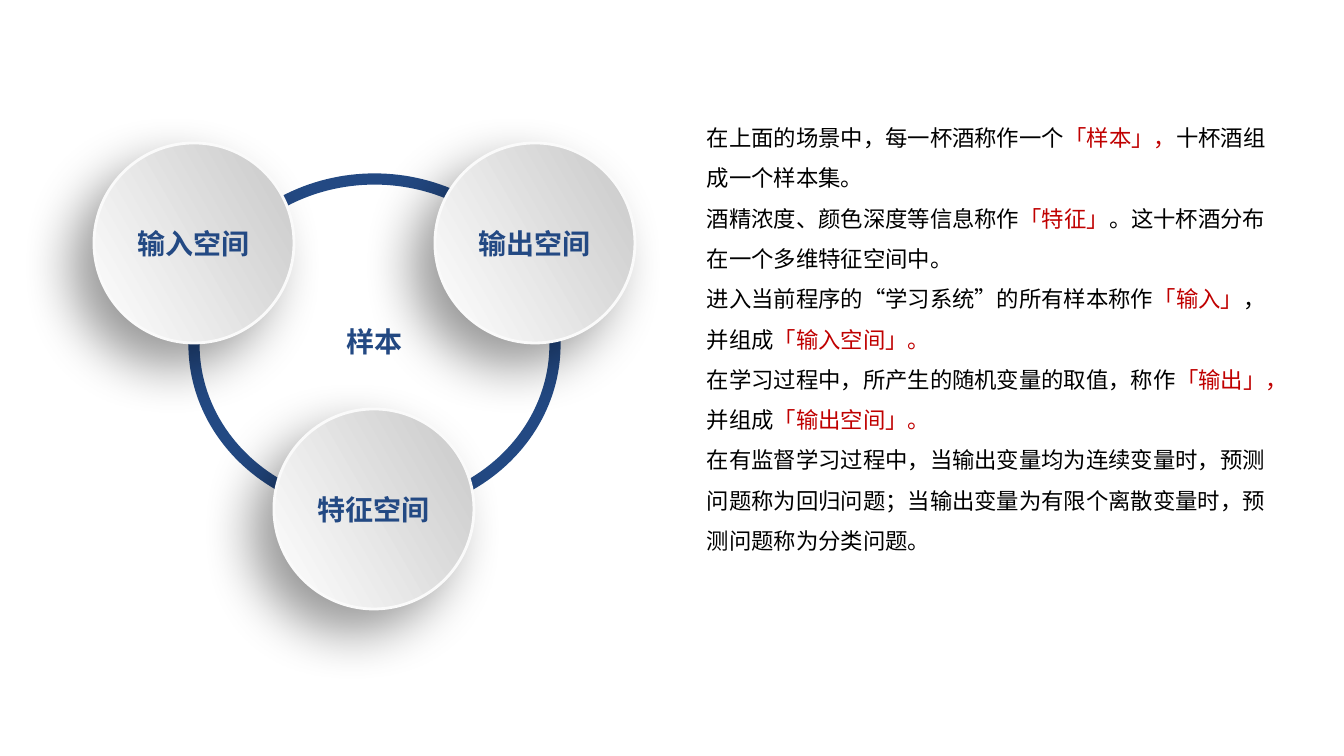
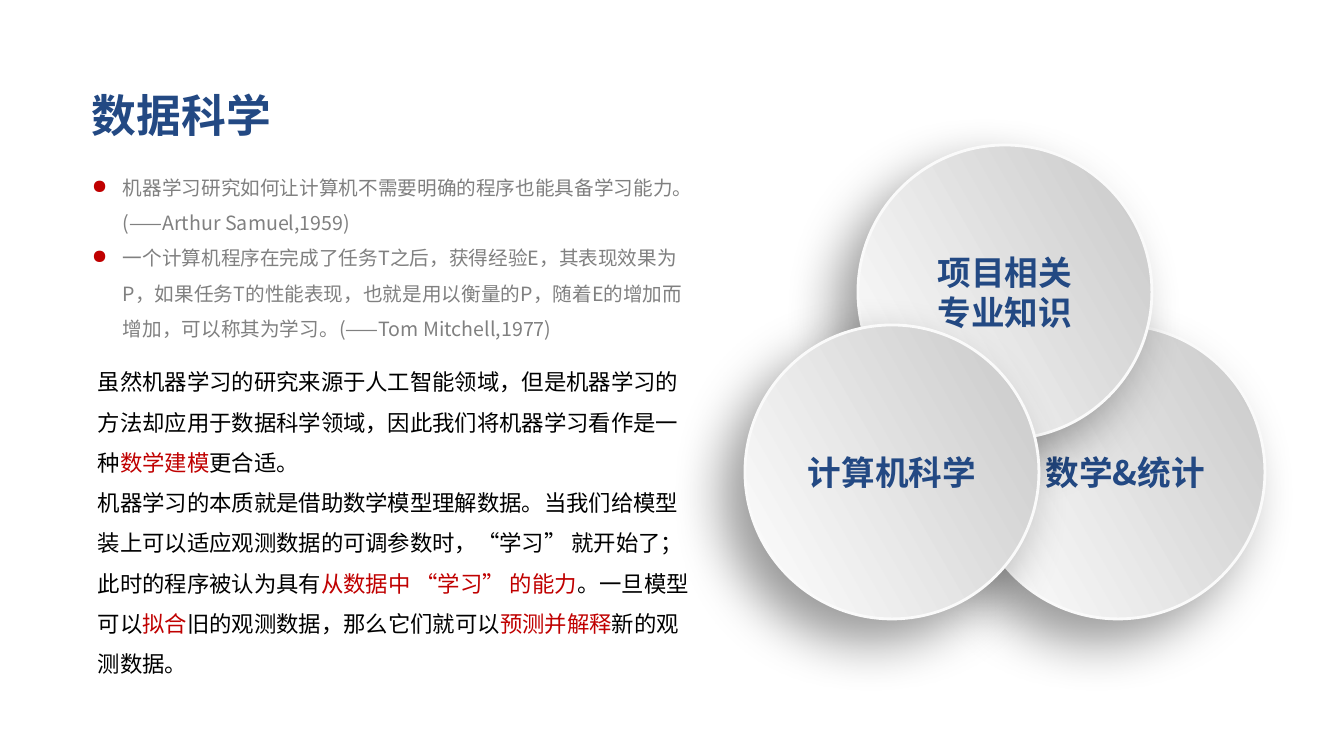
from lxml import etree
from pptx import Presentation
from pptx.dml.color import RGBColor
from pptx.enum.shapes import MSO_SHAPE
from pptx.enum.text import MSO_ANCHOR, PP_ALIGN
from pptx.oxml.ns import qn
from pptx.util import Pt

OVAL = MSO_SHAPE.OVAL
MIDDLE = MSO_ANCHOR.MIDDLE
LEFT, CENTER = PP_ALIGN.LEFT, PP_ALIGN.CENTER

FONT = "Noto Sans CJK SC"
COLORS = {
    "navy": "234983", "red": "C00000", "ink": "000000", "grey": "808080",
    "light": "FFFFFF", "shade": "C8C8C8", "rim": "FAFAFA",
}

# Content: text between bars is highlighted in red
SAMPLE_TEXT = [
    "在上面的场景中，每一杯酒称作一个|「样本」，|十杯酒组成一个样本集。",
    "酒精浓度、颜色深度等信息称作|「特征」|。这十杯酒分布在一个多维特征空间中。",
    "进入当前程序的“学习系统”的所有样本称作|「输入」|，并组成|「输入空间」。|",
    "在学习过程中，所产生的随机变量的取值，称作|「输出」，|并组成|「输出空间」。|",
    "在有监督学习过程中，当输出变量均为连续变量时，预测问题称为回归问题；"
    "当输出变量为有限个离散变量时，预测问题称为分类问题。",
]
QUOTES = [
    "机器学习研究如何让计算机不需要明确的程序也能具备学习能力。(——Arthur Samuel,1959)",
    "一个计算机程序在完成了任务T之后，获得经验E，其表现效果为P，如果任务T的性能表现，"
    "也就是用以衡量的P，随着E的增加而增加，可以称其为学习。(——Tom Mitchell,1977)",
]
SCIENCE_TEXT = [
    "虽然机器学习的研究来源于人工智能领域，但是机器学习的方法却应用于数据科学领域，"
    "因此我们将机器学习看作是一种|数学建模|更合适。",
    "机器学习的本质就是借助数学模型理解数据。当我们给模型装上可以适应观测数据的可调参数时，"
    "“学习” 就开始了；此时的程序被认为具有|从数据中 “学习” 的能力|。一旦模型可以|拟合|"
    "旧的观测数据，那么它们就可以|预测并解释|新的观测数据。",
]
# Circles from back to front: lines, left, top, first-line indent
SPACES = [
    (["输出空间"], 435, 143, 0),
    (["特征空间"], 274, 409, 0),
    (["输入空间"], 94, 143, 0),
]
FIELDS = [
    (["数学&统计"], 971, 325, 15),
    (["项目相关", "专业知识"], 858, 145, 0),
    (["计算机科学"], 745, 325, 0),
]


def px(n):
    return round(n * 914400 / 100.8)


def rgb(name):
    return RGBColor.from_string(COLORS[name])


def add(parent, tag, **attrs):
    return etree.SubElement(parent, qn(tag), {k: str(v) for k, v in attrs.items()})


def write(tf, lines, size, color, bold=False, align=LEFT, spacing=None,
          bullet=False, indent=0):
    for i, line in enumerate(lines):
        p = tf.paragraphs[0] if i == 0 else tf.add_paragraph()
        pPr = p._p.get_or_add_pPr()
        if bullet:
            pPr.set("marL", str(px(31)))
            indent = -31
            add(add(pPr, "a:buClr"), "a:srgbClr", val=COLORS["red"])
            add(pPr, "a:buChar", char="●")
        if indent:
            pPr.set("indent", str(px(indent)))
        p.alignment = align
        if spacing:
            p.line_spacing = spacing
        p.font.size, p.font.bold, p.font.name = Pt(size), bold, FONT
        p.font.color.rgb = rgb(color)
        add(pPr.find(qn("a:defRPr")), "a:ea", typeface=FONT)
        for j, part in enumerate(line.split("|")):
            if part:
                r = p.add_run()
                r.text = part
                if j % 2:
                    r.font.color.rgb = rgb("red")


def text_box(s, box, lines, size, color, wrap=True, **style):
    tf = s.shapes.add_textbox(*map(px, box)).text_frame
    tf.word_wrap = wrap
    write(tf, lines, size, color, **style)


def oval(s, box, line_color, line_width):
    sp = s.shapes.add_shape(OVAL, *map(px, box))
    sp.shadow.inherit = False
    sp.line.color.rgb = rgb(line_color)
    sp.line.width = Pt(line_width)
    sp.text_frame.word_wrap = True
    sp.text_frame.vertical_anchor = MIDDLE
    return sp


def discs(s, items, diameter, size):
    for lines, left, top, indent in items:
        sp = oval(s, (left, top, diameter, diameter), "rim", 2)
        sp.fill.gradient()
        sp.fill.gradient_angle = 30
        for stop, name in zip(sp.fill.gradient_stops, ("light", "shade")):
            stop.color.rgb = rgb(name)
        # Soft shadow towards the lower left
        effects = sp._element.spPr.find(qn("a:effectLst"))
        shadow = add(effects, "a:outerShdw", blurRad=Pt(38), dist=Pt(22),
                     dir=135 * 60000, algn="tr", rotWithShape=0)
        add(add(shadow, "a:srgbClr", val=COLORS["ink"]), "a:alpha", val=40000)
        write(sp.text_frame, lines, size, "navy", bold=True, align=CENTER, indent=indent)


def sample_slide(s):
    ring = oval(s, (194, 179, 361, 331), "navy", 8)
    ring.fill.background()
    write(ring.text_frame, ["样本"], 20, "navy", bold=True, align=CENTER, spacing=Pt(20))
    discs(s, SPACES, 200, 20)
    text_box(s, (697, 106, 581, 539), SAMPLE_TEXT, 16, "ink", spacing=1.5)


def science_slide(s):
    text_box(s, (82, 83, 202, 65), ["数据科学"], 32, "navy", wrap=False, bold=True)
    text_box(s, (88, 350, 617, 336), SCIENCE_TEXT, 16, "ink", spacing=1.5)
    text_box(s, (82, 159, 617, 188), QUOTES, 14, "grey", spacing=1.5, bullet=True)
    discs(s, FIELDS, 294, 24)


def main():
    prs = Presentation()
    prs.slide_width, prs.slide_height = px(1344), px(756)
    for build in (sample_slide, science_slide):
        build(prs.slides.add_slide(prs.slide_layouts[6]))
    prs.save("out.pptx")


if __name__ == "__main__":
    main()
